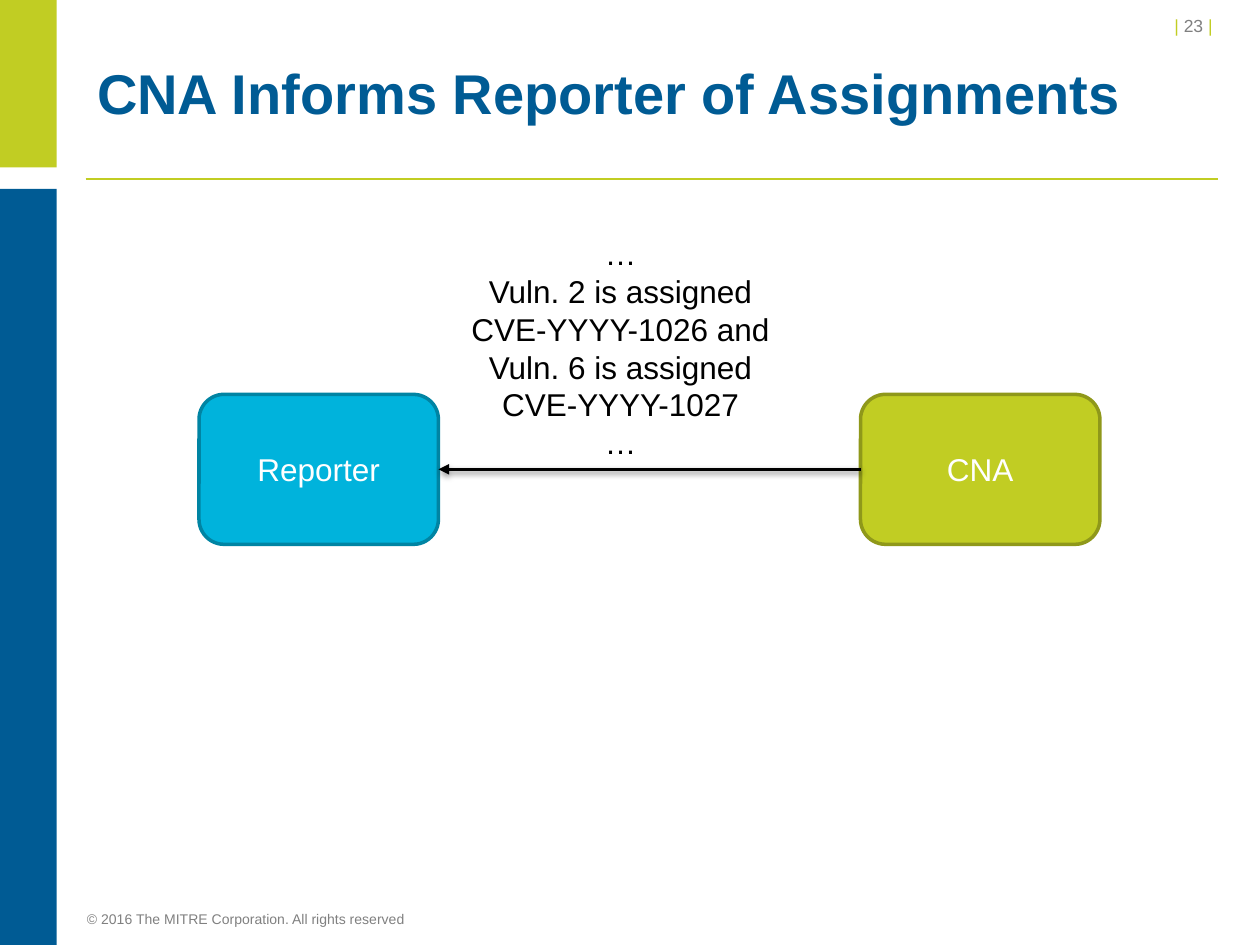
import pptx
import pptx.dml.color
import pptx.enum.shapes
import pptx.enum.text
import pptx.oxml
import pptx.oxml.ns
import pptx.util

RGBColor = pptx.dml.color.RGBColor
Shape = pptx.enum.shapes.MSO_SHAPE
Align = pptx.enum.text.PP_ALIGN
Anchor = pptx.enum.text.MSO_ANCHOR

LIME = RGBColor(0xC1, 0xCD, 0x23)
DARK_LIME = RGBColor(0x8F, 0x98, 0x1A)
NAVY = RGBColor(0x00, 0x5B, 0x94)
CYAN = RGBColor(0x00, 0xB3, 0xDC)
DARK_CYAN = RGBColor(0x00, 0x84, 0xA3)
GRAY = RGBColor(0x80, 0x80, 0x80)
BLACK = RGBColor(0, 0, 0)
WHITE = RGBColor(0xFF, 0xFF, 0xFF)

COLUMNS, ROWS = 100, 75
LEFT, RIGHT = 1, 3
SHADOW = (
    '<a:effectLst %s><a:outerShdw blurRad="39370" dist="20320" dir="5400000" rotWithShape="0">'
    '<a:srgbClr val="000000"><a:alpha val="38000"/></a:srgbClr></a:outerShdw></a:effectLst>'
) % pptx.oxml.ns.nsdecls("a")
NO_SHADOW = "<a:effectLst %s/>" % pptx.oxml.ns.nsdecls("a")
ARROWHEAD = '<a:tailEnd type="triangle" %s/>' % pptx.oxml.ns.nsdecls("a")


class SlideBuilder:
    font = "Arial"

    def __init__(self, deck):
        self.slide = deck.slides.add_slide(deck.slide_layouts[5])
        self.column = deck.slide_width / COLUMNS
        self.row = deck.slide_height / ROWS

    def place(self, left, top, width, height):
        return (round(left * self.column), round(top * self.row),
                round(width * self.column), round(height * self.row))

    def style(self, paragraph, size, color, align=Align.LEFT, bold=False):
        paragraph.alignment = align
        paragraph.font.name = self.font
        paragraph.font.size = pptx.util.Pt(size)
        paragraph.font.bold = bold
        if color is not None:
            paragraph.font.color.rgb = color

    def title(self, wording, area):
        title = self.slide.shapes.title
        title.left, title.top, title.width, title.height = self.place(*area)
        title.text_frame.text = wording
        title.text_frame.vertical_anchor = Anchor.MIDDLE
        heading = title.text_frame.paragraphs[0]
        heading.line_spacing = pptx.util.Pt(32)
        self.style(heading, 32, NAVY, bold=True)

    def block(self, preset, area, fill, outline=None):
        block = self.slide.shapes.add_shape(preset, *self.place(*area))
        block.shadow.inherit = False
        block.fill.solid()
        block.fill.fore_color.rgb = fill
        if outline is None:
            block.line.fill.background()
        else:
            block.line.color.rgb = outline
            block.line.width = pptx.util.Pt(2)
        return block

    def party(self, name, area, fill, outline):
        party = self.block(Shape.ROUNDED_RECTANGLE, area, fill, outline)
        party.text_frame.text = name
        party.text_frame.vertical_anchor = Anchor.MIDDLE
        self.style(party.text_frame.paragraphs[0], 18, WHITE, Align.CENTER)
        return party

    def text(self, lines, area, size, color, align=Align.LEFT, wrap=True, inset=True):
        frame = self.slide.shapes.add_textbox(*self.place(*area)).text_frame
        frame.word_wrap = wrap
        if not inset:
            frame.margin_left = frame.margin_top = frame.margin_right = frame.margin_bottom = 0
        frame.text = "\n".join(lines)
        for paragraph in frame.paragraphs:
            self.style(paragraph, size, color, align)

    def page_number(self, parts, area):
        frame = self.slide.shapes.add_textbox(*self.place(*area)).text_frame
        frame.word_wrap = True
        number = frame.paragraphs[0]
        number.space_after = pptx.util.Pt(6)
        self.style(number, 10, None, Align.RIGHT)
        for wording, color in parts:
            run = number.add_run()
            run.text = wording
            run.font.color.rgb = color

    def line(self, start, end, color, weight, effect=NO_SHADOW):
        line = self.slide.shapes.add_connector(
            pptx.enum.shapes.MSO_CONNECTOR.STRAIGHT, *self.place(*start, *end))
        line.line.color.rgb = color
        line.line.width = pptx.util.Pt(weight)
        line._element.spPr.append(pptx.oxml.parse_xml(effect))
        return line

    def arrow(self, sender, receiver):
        arrow = self.line((0, 0), (1, 1), BLACK, 2, SHADOW)
        arrow.begin_connect(sender, LEFT)
        arrow.end_connect(receiver, RIGHT)
        arrow.line._get_or_add_ln().append(pptx.oxml.parse_xml(ARROWHEAD))


def main():
    deck = pptx.Presentation()
    deck.slide_width = pptx.util.Inches(10)
    deck.slide_height = pptx.util.Inches(7.5)
    page = SlideBuilder(deck)

    page.line((6.8, 14.2), (96.7, 14.2), LIME, 1)
    page.block(Shape.RECTANGLE, (0, 0, 4.5, 13.3), LIME)
    page.block(Shape.RECTANGLE, (0, 15, 4.5, 60), NAVY)
    page.page_number([("| ", LIME), ("23 ", GRAY), ("| ", LIME)], (80.1, 0.7, 17.5, 2.7))
    page.text(["© 2016 The MITRE Corporation. All rights reserved"],
              (6.9, 72.3, 50, 1.3), 8, GRAY, inset=False)
    page.title("CNA Informs Reporter of Assignments", (6.7, 3, 90, 9.5))

    cna = page.party("CNA", (68.3, 31.3, 19, 11.9), LIME, DARK_LIME)
    reporter = page.party("Reporter", (15.8, 31.3, 19, 11.9), CYAN, DARK_CYAN)
    page.text(["…", "Vuln. 2 is assigned", "CVE-YYYY-1026 and",
               "Vuln. 6 is assigned", "CVE-YYYY-1027", "…"],
              (36.3, 18.1, 25.9, 19.2), 18, BLACK, Align.CENTER, wrap=False)
    page.arrow(cna, reporter)

    deck.save("out.pptx")


if __name__ == "__main__":
    main()
